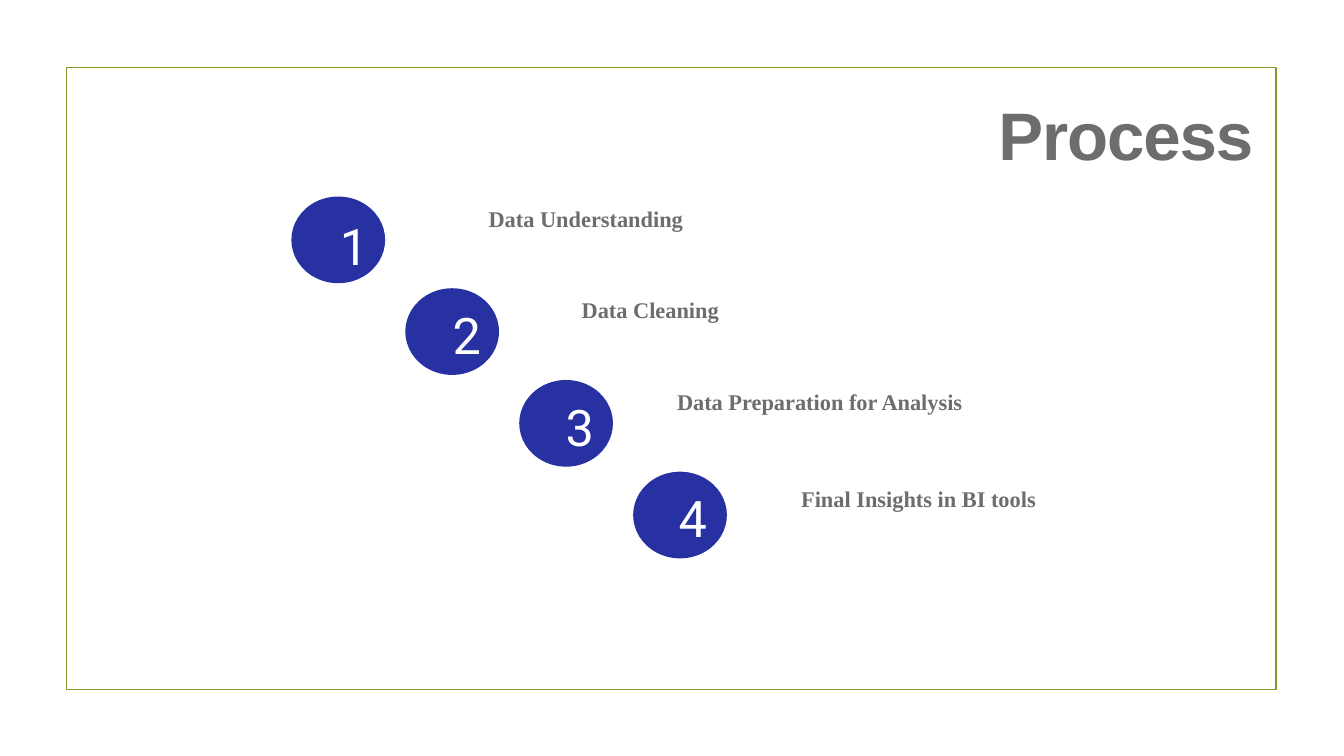
from dataclasses import dataclass

from pptx import Presentation
from pptx.dml.color import RGBColor
from pptx.enum.shapes import MSO_SHAPE
from pptx.enum.text import MSO_ANCHOR, MSO_AUTO_SIZE, PP_ALIGN
from pptx.slide import Slide
from pptx.text.text import TextFrame
from pptx.util import Inches, Pt

RECTANGLE = MSO_SHAPE.RECTANGLE
OVAL = MSO_SHAPE.OVAL
TOP = MSO_ANCHOR.TOP
NO_AUTOFIT = MSO_AUTO_SIZE.NONE
LEFT = PP_ALIGN.LEFT
CENTER = PP_ALIGN.CENTER
RIGHT = PP_ALIGN.RIGHT

COLORS = {
    "background": "FFFFFF",
    "frame": "83992A",
    "circle": "2831A2",
    "number": "FFFFFF",
    "text": "6D6D6D",
}
TITLE_ONLY_LAYOUT = 5
CIRCLE_LEFT, CIRCLE_TOP = 2.89, 1.95
CIRCLE_STEP_X, CIRCLE_STEP_Y = 1.13, 0.91
NUMBER_LEFT, NUMBER_STEP = 3.37, 1.12


@dataclass(frozen=True)
class TextStyle:
    font: str
    size: float
    color: str
    alignment: PP_ALIGN
    bold: bool = False
    line_spacing: float | None = None
    letter_spacing: float = 0
    margin_x: float = 0
    margin_y: float = 0


@dataclass(frozen=True)
class Step:
    label: str
    label_left: float
    label_top: float
    number_top: float


TITLE_STYLE = TextStyle("Arial", 48, "text", RIGHT, True, 96, -0.8)
NUMBER_STYLE = TextStyle("Roboto", 36, "number", LEFT, False, 71.9, -6.4)
LABEL_STYLE = TextStyle("Times New Roman", 16, "text", CENTER, True,
                        margin_x=0.1, margin_y=0.05)

STEPS = [
    Step("Data Understanding", 4.22, 1.99, 1.74),
    Step("Data Cleaning", 4.86, 2.89, 2.62),
    Step("Data Preparation for Analysis", 6.54, 3.8, 3.53),
    Step("Final Insights in BI tools", 7.52, 4.76, 4.43),
]


def color(name: str) -> RGBColor:
    return RGBColor.from_string(COLORS[name])


def write_text(frame: TextFrame, text: str, style: TextStyle) -> None:
    frame.word_wrap = True
    frame.auto_size = NO_AUTOFIT
    frame.vertical_anchor = TOP
    frame.margin_left = frame.margin_right = Inches(style.margin_x)
    frame.margin_top = frame.margin_bottom = Inches(style.margin_y)
    paragraph = frame.paragraphs[0]
    paragraph.alignment = style.alignment
    if style.line_spacing:
        paragraph.line_spacing = Pt(style.line_spacing)
    run = paragraph.add_run()
    run.text = text
    run.font.name = style.font
    run.font.size = Pt(style.size)
    run.font.bold = style.bold
    run.font.color.rgb = color(style.color)
    if style.letter_spacing:
        run._r.get_or_add_rPr().set("spc", str(round(style.letter_spacing * 100)))


def add_text(slide: Slide, left: float, top: float, width: float,
             height: float, text: str, style: TextStyle) -> None:
    box = slide.shapes.add_textbox(
        Inches(left), Inches(top), Inches(width), Inches(height))
    write_text(box.text_frame, text, style)


def add_frame(slide: Slide) -> None:
    frame = slide.shapes.add_shape(
        RECTANGLE, Inches(0.66), Inches(0.67), Inches(12), Inches(6.17))
    frame.shadow.inherit = False
    frame.fill.background()
    frame.line.color.rgb = color("frame")
    frame.line.width = Pt(1.25)


def add_title(slide: Slide) -> None:
    title = slide.shapes.title
    title.left, title.top = Inches(8.85), Inches(0.39)
    title.width, title.height = Inches(3.58), Inches(1.35)
    write_text(title.text_frame, "Process", TITLE_STYLE)


def add_step(slide: Slide, index: int, step: Step) -> None:
    circle = slide.shapes.add_shape(
        OVAL,
        Inches(CIRCLE_LEFT + index * CIRCLE_STEP_X),
        Inches(CIRCLE_TOP + index * CIRCLE_STEP_Y),
        Inches(0.93), Inches(0.86))
    circle.shadow.inherit = False
    circle.fill.solid()
    circle.fill.fore_color.rgb = color("circle")
    circle.line.fill.background()
    add_text(slide, NUMBER_LEFT + index * NUMBER_STEP, step.number_top,
             0.75, 1, str(index + 1), NUMBER_STYLE)
    add_text(slide, step.label_left, step.label_top, 3.18, 0.37,
             step.label, LABEL_STYLE)


def main() -> None:
    presentation = Presentation()
    presentation.slide_width = Inches(13.33)
    presentation.slide_height = Inches(7.5)
    slide = presentation.slides.add_slide(
        presentation.slide_layouts[TITLE_ONLY_LAYOUT])
    slide.background.fill.solid()
    slide.background.fill.fore_color.rgb = color("background")
    add_frame(slide)
    add_title(slide)
    for index, step in enumerate(STEPS):
        add_step(slide, index, step)
    presentation.save("out.pptx")


if __name__ == "__main__":
    main()
